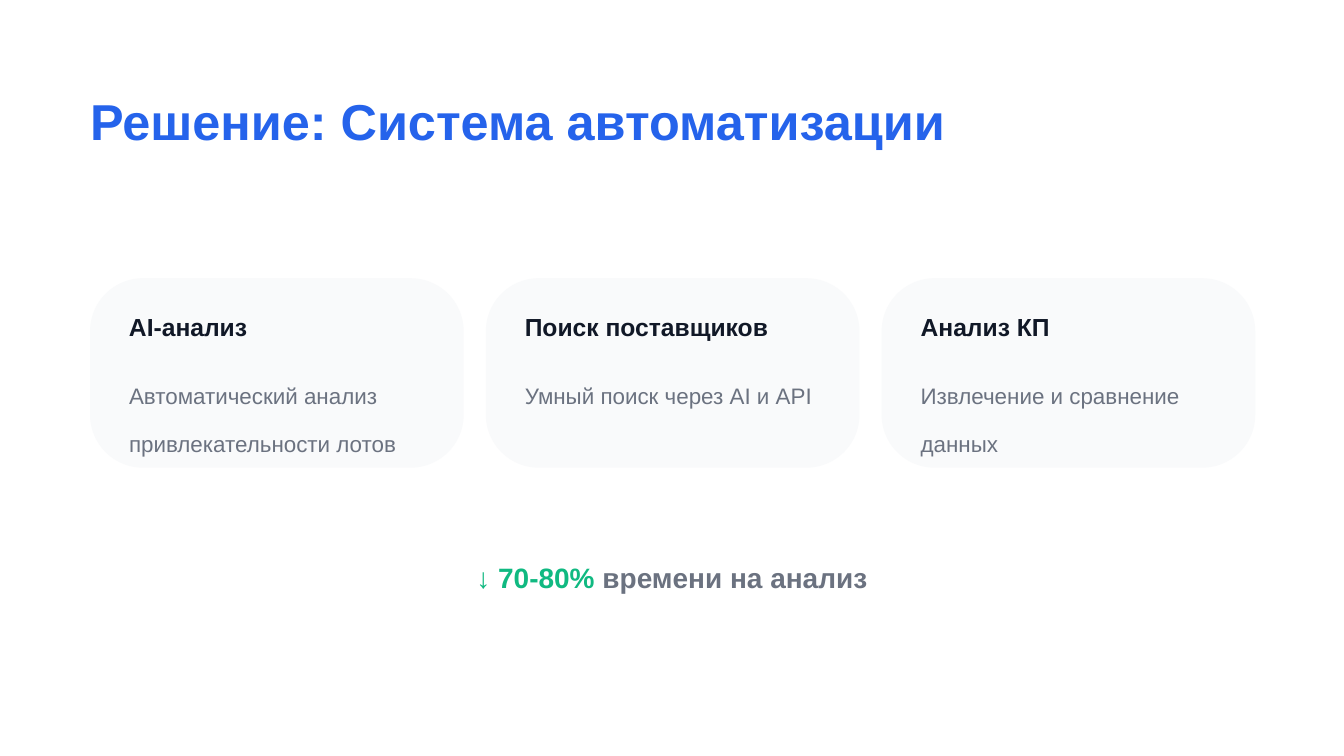
from pptx import Presentation
from pptx.dml.color import RGBColor
from pptx.enum.shapes import MSO_SHAPE
from pptx.enum.text import MSO_ANCHOR, MSO_AUTO_SIZE, PP_ALIGN
from pptx.util import Inches, Pt

BLUE, GREEN, DARK, GRAY, PALE = "2563EB", "10B981", "111827", "6B7280", "F9FAFB"

CARDS = [
    ("AI-анализ", "Автоматический анализ привлекательности лотов"),
    ("Поиск поставщиков", "Умный поиск через AI и API"),
    ("Анализ КП", "Извлечение и сравнение данных"),
]
LEFT, RIGHT, TOP = 0.67, 9.34, 2.07
WIDTH, HEIGHT, INSET = 2.78, 1.41, 0.29
STEP = (RIGHT - LEFT - WIDTH) / (len(CARDS) - 1)


def color(code):
    return RGBColor.from_string(code)


def place(shape, x, y, w, h):
    shape.left, shape.top = Inches(x), Inches(y)
    shape.width, shape.height = Inches(w), Inches(h)


def write(shape, runs, size, line, bold=True, align=PP_ALIGN.LEFT):
    """Fill a shape with one paragraph of (text, color) runs."""
    frame = shape.text_frame
    frame.word_wrap = True
    frame.auto_size = MSO_AUTO_SIZE.NONE
    frame.vertical_anchor = MSO_ANCHOR.TOP
    frame.margin_left = frame.margin_right = 0
    frame.margin_top = frame.margin_bottom = 0
    para = frame.paragraphs[0]
    para.alignment = align
    para.line_spacing = Pt(line)
    para.space_before = Pt(0)
    for text, code in runs:
        run = para.add_run()
        run.text = text
        run.font.name = "Arial"
        run.font.size = Pt(size)
        run.font.bold = bold
        run.font.color.rgb = color(code)


def add_text(slide, x, y, w, h, *args, **style):
    box = slide.shapes.add_textbox(Inches(x), Inches(y), Inches(w), Inches(h))
    write(box, *args, **style)


def add_card(slide, x, head, body):
    card = slide.shapes.add_shape(MSO_SHAPE.ROUNDED_RECTANGLE, Inches(x),
                                  Inches(TOP), Inches(WIDTH), Inches(HEIGHT))
    card.adjustments[0] = 0.28
    card.shadow.inherit = False
    card.fill.solid()
    card.fill.fore_color.rgb = color(PALE)
    card.line.fill.background()
    add_text(slide, x + INSET, 2.32, 2.24, 0.25, [(head, DARK)], 13.2, 15.8)
    add_text(slide, x + INSET, 2.69, 2.28, 0.53, [(body, GRAY)], 12, 25.6,
             bold=False)


def main():
    # Wide 16:9 page
    deck = Presentation()
    deck.slide_width, deck.slide_height = Inches(10), Inches(10 * 9 / 16)
    slide = deck.slides.add_slide(deck.slide_layouts[5])
    slide.background.fill.solid()
    slide.background.fill.fore_color.rgb = color("FFFFFF")

    # Title
    title = slide.shapes.title
    place(title, LEFT, 0.67, 8.84, 0.5)
    write(title, [("Решение: Система автоматизации", BLUE)], 27, 32.4)

    # Row of cards
    for i, (head, body) in enumerate(CARDS):
        add_card(slide, LEFT + i * STEP, head, body)

    # Result line
    add_text(slide, 0.58, 3.98, 8.84, 0.33,
             [("↓ 70-80%", GREEN), (" времени на анализ", GRAY)], 15, 32,
             align=PP_ALIGN.CENTER)

    deck.save("out.pptx")


if __name__ == "__main__":
    main()
